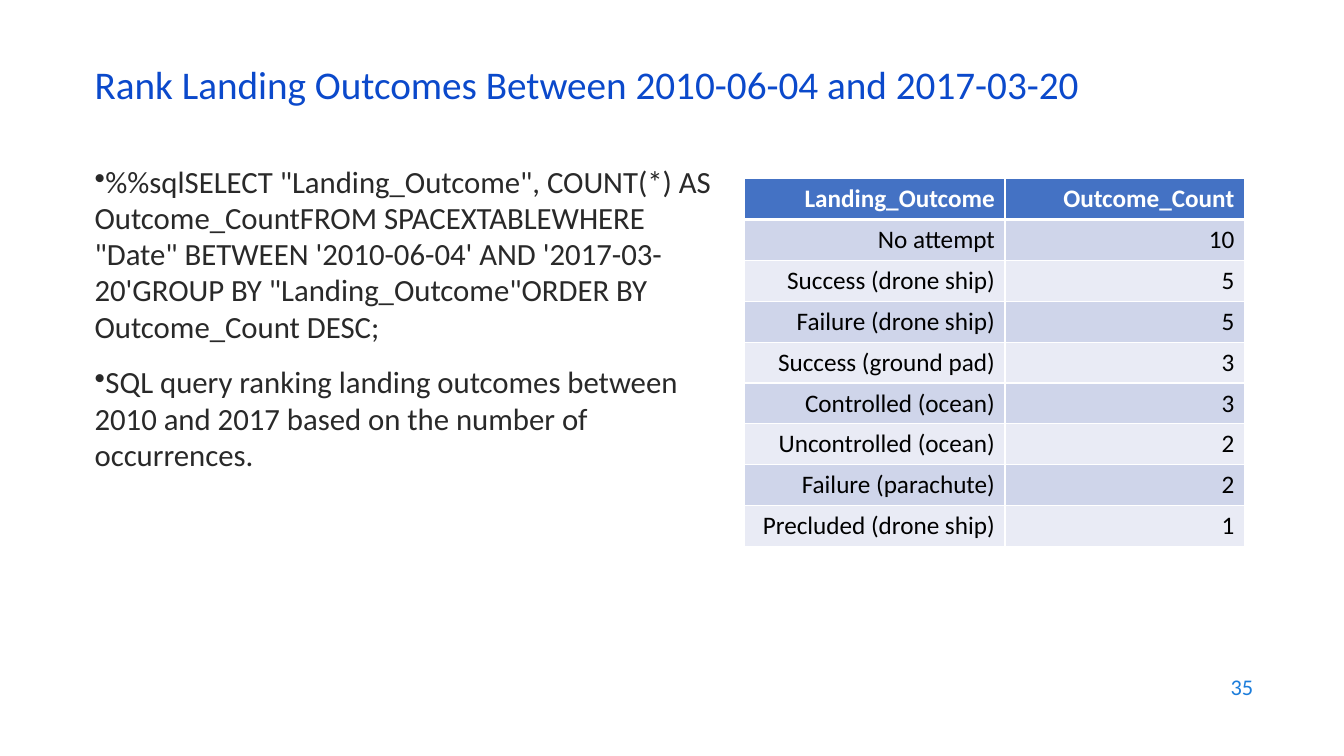
from dataclasses import dataclass

from lxml import etree
from pptx import Presentation
from pptx.dml.color import RGBColor
from pptx.enum.text import MSO_ANCHOR, PP_ALIGN
from pptx.oxml.ns import qn
from pptx.util import Pt

LEFT, RIGHT = PP_ALIGN.LEFT, PP_ALIGN.RIGHT
TOP, MIDDLE = MSO_ANCHOR.TOP, MSO_ANCHOR.MIDDLE


@dataclass(frozen=True)
class Theme:
    font: str = "Calibri"
    title: str = "0B49CB"
    body: str = "292929"
    number: str = "1C7DDB"
    header: str = "4472C4"
    bands: tuple = ("CFD5EA", "E9EBF5")
    white: str = "FFFFFF"
    black: str = "000000"
    title_size: int = 28
    body_size: int = 22
    table_size: int = 18
    number_size: int = 16


theme = Theme()


def style(para, size, color, align=LEFT, bold=False):
    para.alignment = align
    para.font.name = theme.font
    para.font.size = Pt(size)
    para.font.bold = bold
    para.font.color.rgb = RGBColor.from_string(color)


def add_text_frame(left, top, width, height, anchor):
    box = page.shapes.add_textbox(Pt(left), Pt(top), Pt(width), Pt(height))
    box.text_frame.word_wrap = True
    box.text_frame.vertical_anchor = anchor
    return box.text_frame


deck = Presentation()
deck.slide_width, deck.slide_height = Pt(960), Pt(540)
page = deck.slides.add_slide(deck.slide_layouts[6])

# Title
title = add_text_frame(60.5, 42.5, 828, 43, MIDDLE).paragraphs[0]
title.text = "Rank Landing Outcomes Between 2010-06-04 and 2017-03-20"
title.line_spacing = 0.7
style(title, theme.title_size, theme.title)

# Query and its explanation
points = [
    "%%sqlSELECT \"Landing_Outcome\", COUNT(*) AS Outcome_CountFROM SPACEXTABLE"
    "WHERE \"Date\" BETWEEN '2010-06-04' AND '2017-03-20'"
    "GROUP BY \"Landing_Outcome\"ORDER BY Outcome_Count DESC;",
    "SQL query ranking landing outcomes between 2010 and 2017 "
    "based on the number of occurrences.",
]
body = add_text_frame(60.5, 113.8, 460.8, 360.7, TOP)
for index, point in enumerate(points):
    para = body.paragraphs[0] if index == 0 else body.add_paragraph()
    para.text = point
    properties = para._p.get_or_add_pPr()
    properties.set("marL", "0")
    properties.set("indent", "0")
    etree.SubElement(properties, qn("a:buChar"), char="•")
    para.line_spacing = 0.98
    para.space_before = Pt(14 if index else 0)
    style(para, theme.body_size, theme.body)

# Outcome table
outcomes = [
    ("Landing_Outcome", "Outcome_Count"),
    ("No attempt", 10),
    ("Success (drone ship)", 5),
    ("Failure (drone ship)", 5),
    ("Success (ground pad)", 3),
    ("Controlled (ocean)", 3),
    ("Uncontrolled (ocean)", 2),
    ("Failure (parachute)", 2),
    ("Precluded (drone ship)", 1),
]
column_widths = (186.5, 171)
row_height = 29.2
table = page.shapes.add_table(
    len(outcomes), len(column_widths), Pt(531.4), Pt(127.6),
    Pt(sum(column_widths)), Pt(row_height * len(outcomes)),
).table
for column, width in zip(table.columns, column_widths):
    column.width = Pt(width)

for row, values in enumerate(outcomes):
    table.rows[row].height = Pt(row_height)
    is_header = row == 0
    fill = theme.header if is_header else theme.bands[(row - 1) % 2]
    border_widths = {
        "lnL": 1,
        "lnR": 1,
        "lnT": 3 if row == 1 else 1,
        "lnB": 3 if is_header else 1,
    }
    for column, value in enumerate(values):
        cell = table.cell(row, column)
        cell.text = str(value)
        cell.vertical_anchor = MIDDLE
        style(cell.text_frame.paragraphs[0], theme.table_size,
              theme.white if is_header else theme.black, RIGHT, is_header)
        cell_properties = cell._tc.get_or_add_tcPr()
        for edge, width in border_widths.items():
            line = etree.SubElement(cell_properties, qn(f"a:{edge}"), w=str(Pt(width)))
            solid = etree.SubElement(line, qn("a:solidFill"))
            etree.SubElement(solid, qn("a:srgbClr"), val=theme.white)
        cell.fill.solid()
        cell.fill.fore_color.rgb = RGBColor.from_string(fill)

# Slide number
number = add_text_frame(686.2, 474.5, 216, 31.7, MIDDLE).paragraphs[0]
number.text = "35"
style(number, theme.number_size, theme.number, RIGHT)

deck.save("out.pptx")
